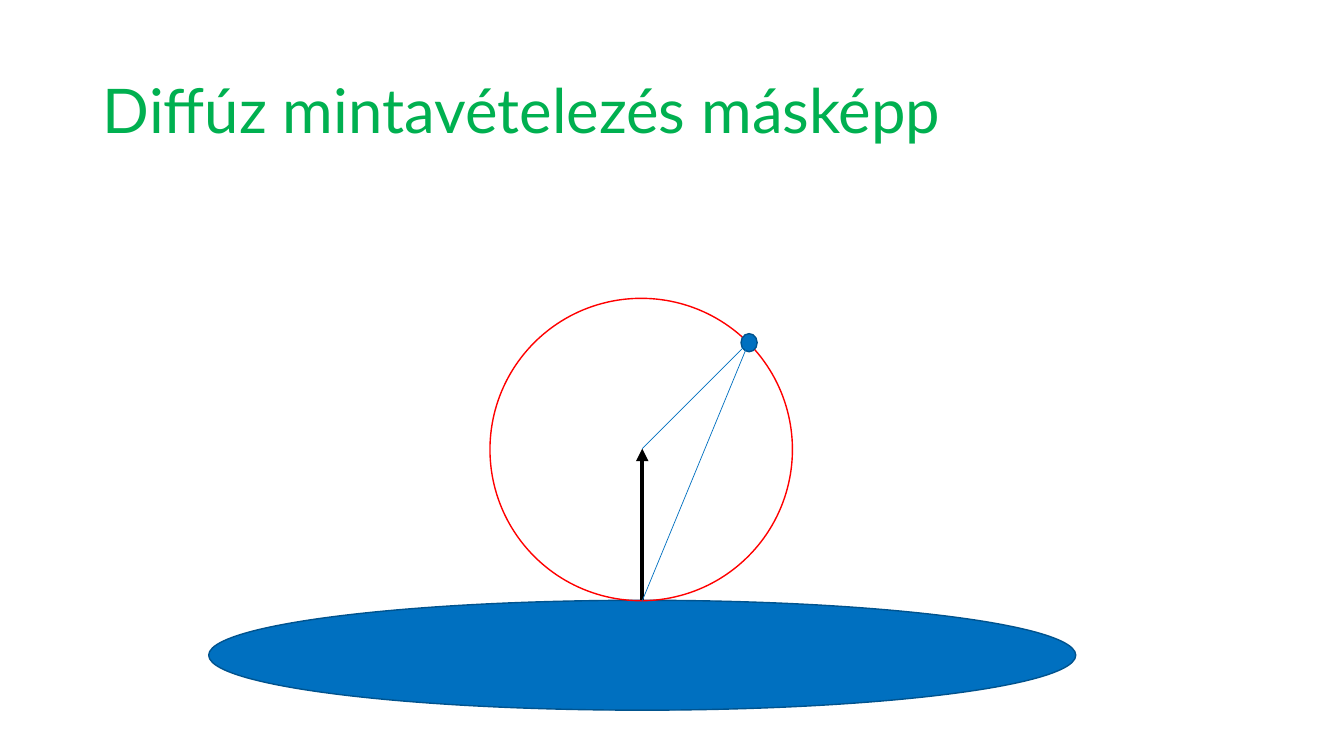
from dataclasses import dataclass
from typing import Optional

from lxml.etree import SubElement
from pptx import Presentation
from pptx.dml.color import RGBColor
from pptx.enum.shapes import MSO_CONNECTOR as Connector, MSO_SHAPE as Shape
from pptx.enum.text import MSO_ANCHOR as Anchor, PP_ALIGN as Align
from pptx.oxml.ns import qn
from pptx.slide import Slide
from pptx.util import Inches, Pt


@dataclass(frozen=True)
class Theme:
    font: str = "Lato"
    title_size: float = 44
    title: str = "00B050"
    blue: str = "0070C0"
    outline: str = "00538E"
    red: str = "FF0000"
    black: str = "000000"


@dataclass(frozen=True)
class Point:
    x: float
    y: float


@dataclass(frozen=True)
class Ellipse:
    center: Point
    width: float
    height: float
    line: str
    fill: Optional[str] = None


@dataclass(frozen=True)
class Segment:
    start: Point
    end: Point
    color: str
    weight: float
    arrow: bool = False


THEME = Theme()

# Geometry: a unit sphere resting on the surface
RADIUS = 1.5
CENTER = Point(6.36, 4.46)
CONTACT = Point(6.37, 5.96)
TIP = Point(6.37, 4.45)
SAMPLE = Point(7.43, 3.39)

# Parts from back to front
PARTS = [
    Ellipse(Point(6.37, 6.5), 8.6, 1.09, THEME.outline, THEME.blue),
    Segment(CONTACT, TIP, THEME.black, 3, arrow=True),
    Ellipse(CENTER, 2 * RADIUS, 2 * RADIUS, THEME.red),
    Ellipse(Point(7.43, 3.4), 0.16, 0.18, THEME.outline, THEME.blue),
    Segment(TIP, SAMPLE, THEME.blue, 0.5),
    Segment(CONTACT, SAMPLE, THEME.blue, 0.5),
]


def write_title(page: Slide, text: str) -> None:
    box = page.shapes.title
    box.left, box.top = Inches(0.92), Inches(0.4)
    box.width, box.height = Inches(11.5), Inches(1.45)
    frame = box.text_frame
    frame.word_wrap = True
    frame.vertical_anchor = Anchor.MIDDLE
    para = frame.paragraphs[0]
    para.alignment = Align.LEFT
    para.line_spacing = 0.9
    span = para.add_run()
    span.text = text
    span.font.name = THEME.font
    span.font.size = Pt(THEME.title_size)
    span.font.color.rgb = RGBColor.from_string(THEME.title)


def draw_ellipse(page: Slide, part: Ellipse) -> None:
    shape = page.shapes.add_shape(
        Shape.OVAL,
        Inches(part.center.x - part.width / 2),
        Inches(part.center.y - part.height / 2),
        Inches(part.width),
        Inches(part.height),
    )
    shape.shadow.inherit = False
    if part.fill:
        shape.fill.solid()
        shape.fill.fore_color.rgb = RGBColor.from_string(part.fill)
    else:
        shape.fill.background()
    shape.line.color.rgb = RGBColor.from_string(part.line)
    shape.line.width = Pt(1)


def draw_segment(page: Slide, part: Segment) -> None:
    line = page.shapes.add_connector(
        Connector.STRAIGHT,
        Inches(part.start.x), Inches(part.start.y),
        Inches(part.end.x), Inches(part.end.y),
    )
    line.line.color.rgb = RGBColor.from_string(part.color)
    line.line.width = Pt(part.weight)
    properties = line._element.spPr
    if part.arrow:
        SubElement(properties.find(qn("a:ln")), qn("a:tailEnd"), type="triangle")
    SubElement(properties, qn("a:effectLst"))


def main() -> None:
    deck = Presentation()
    deck.slide_width, deck.slide_height = Inches(13.33), Inches(7.5)
    page = deck.slides.add_slide(deck.slide_layouts[5])
    write_title(page, "Diffúz mintavételezés másképp")
    for part in PARTS:
        if isinstance(part, Ellipse):
            draw_ellipse(page, part)
        else:
            draw_segment(page, part)
    deck.save("out.pptx")


if __name__ == "__main__":
    main()
